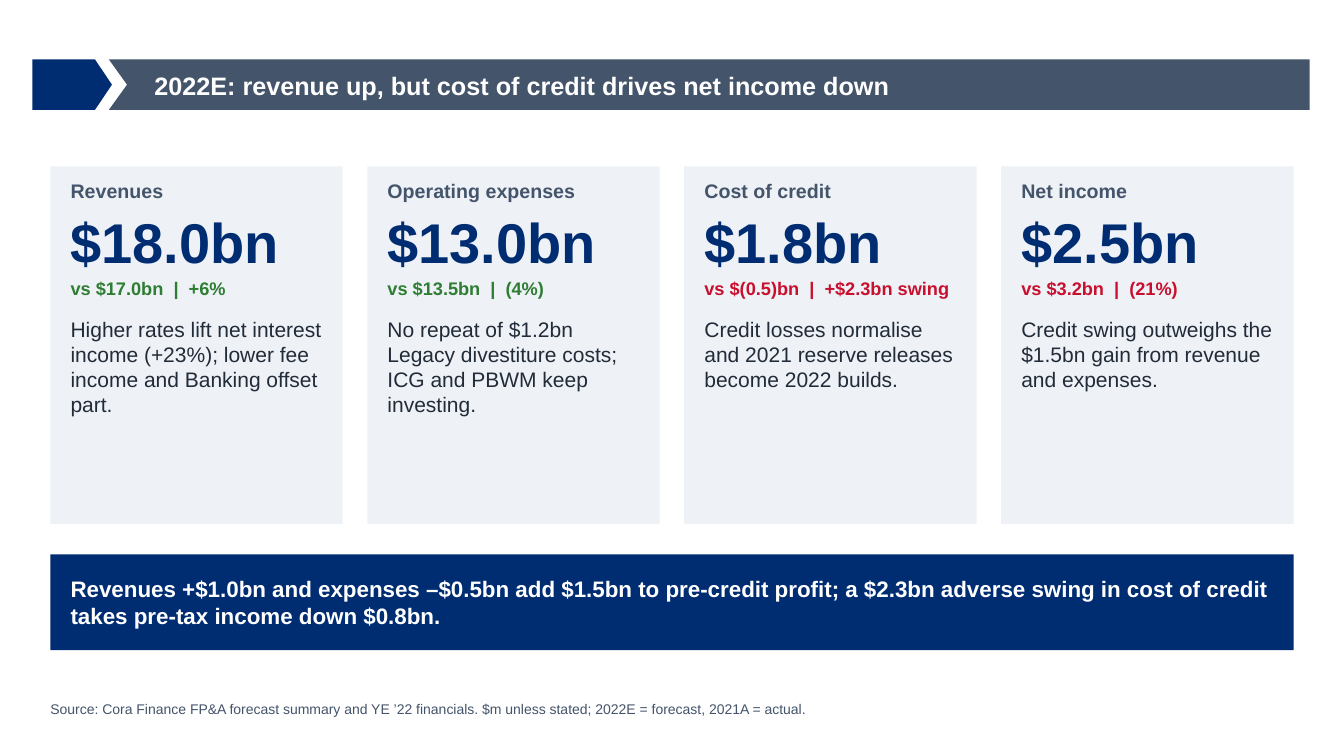
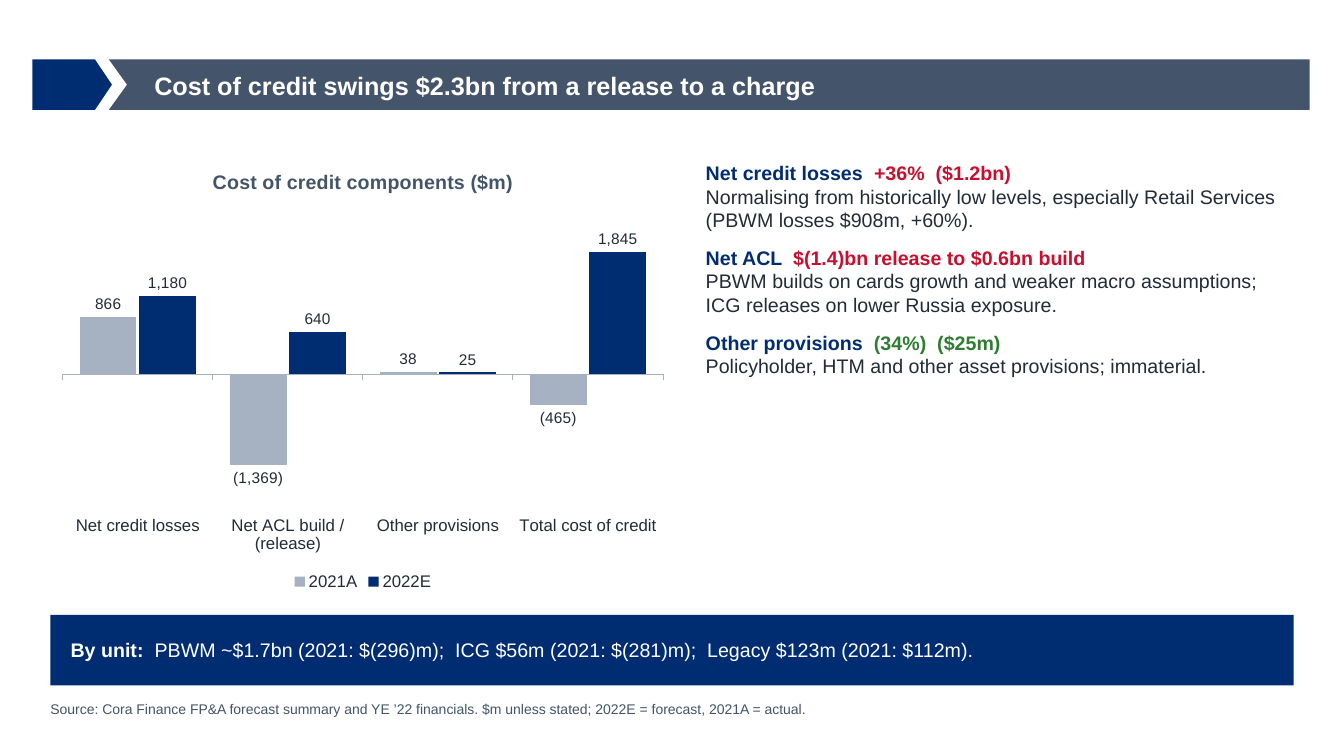
from pptx import Presentation
from pptx.chart.data import CategoryChartData
from pptx.dml.color import RGBColor
from pptx.enum.chart import (XL_CHART_TYPE, XL_LABEL_POSITION, XL_LEGEND_POSITION,
                             XL_TICK_LABEL_POSITION, XL_TICK_MARK)
from pptx.enum.shapes import MSO_SHAPE
from pptx.enum.text import MSO_ANCHOR, PP_ALIGN
from pptx.util import Inches, Pt

COLUMNS = XL_CHART_TYPE.COLUMN_CLUSTERED
OUTSIDE_END = XL_LABEL_POSITION.OUTSIDE_END
LEGEND_BOTTOM = XL_LEGEND_POSITION.BOTTOM
LABELS_LOW = XL_TICK_LABEL_POSITION.LOW
TICK_OUT, TICK_NONE = XL_TICK_MARK.OUTSIDE, XL_TICK_MARK.NONE
RECT, PENTAGON = MSO_SHAPE.RECTANGLE, MSO_SHAPE.PENTAGON
TOP, MIDDLE = MSO_ANCHOR.TOP, MSO_ANCHOR.MIDDLE
LEFT = PP_ALIGN.LEFT

FONT = "Arial"
COLORS = {
    "navy": "002D72", "slate": "44546A", "mist": "EEF2F7", "steel": "A6B1C2",
    "ink": "222B38", "good": "2E7D32", "bad": "C8102E", "white": "FFFFFF",
}
MARGIN, CONTENT_W = 0.5, 12.33
PADDING = (0.2, 0.12)
SOURCE = ("Source: Cora Finance FP&A forecast summary and YE ’22 financials. "
          "$m unless stated; 2022E = forecast, 2021A = actual.")

CARDS = [
    ("Revenues", "$18.0bn", "vs $17.0bn  |  +6%", "good",
     "Higher rates lift net interest income (+23%); lower fee income and Banking offset part."),
    ("Operating expenses", "$13.0bn", "vs $13.5bn  |  (4%)", "good",
     "No repeat of $1.2bn Legacy divestiture costs; ICG and PBWM keep investing."),
    ("Cost of credit", "$1.8bn", "vs $(0.5)bn  |  +$2.3bn swing", "bad",
     "Credit losses normalise and 2021 reserve releases become 2022 builds."),
    ("Net income", "$2.5bn", "vs $3.2bn  |  (21%)", "bad",
     "Credit swing outweighs the $1.5bn gain from revenue and expenses."),
]
COMPONENTS = ["Net credit losses", "Net ACL build / (release)",
              "Other provisions", "Total cost of credit"]
SERIES = [
    ("2021A", (866, -1369, 38, -465), "steel"),
    ("2022E", (1180, 640, 25, 1845), "navy"),
]
DRIVERS = [
    ("Net credit losses  ", "+36%  ($1.2bn)", "bad",
     "Normalising from historically low levels, especially Retail Services "
     "(PBWM losses $908m, +60%)."),
    ("Net ACL  ", "$(1.4)bn release to $0.6bn build", "bad",
     "PBWM builds on cards growth and weaker macro assumptions; "
     "ICG releases on lower Russia exposure."),
    ("Other provisions  ", "(34%)  ($25m)", "good",
     "Policyholder, HTM and other asset provisions; immaterial."),
]


def rgb(name):
    return RGBColor.from_string(COLORS[name])


def style_font(font, size, color, bold=False):
    font.name, font.size, font.bold = FONT, Pt(size), bold
    font.color.rgb = rgb(color)


def add_text(tf, text, size=14, color="ink", bold=False, after=0, same_line=False):
    """Add a paragraph, or with same_line a further run in the last one."""
    p = tf.paragraphs[-1]
    if p.runs and not same_line:
        p = tf.add_paragraph()
    p.alignment = LEFT
    p.space_after = Pt(after)
    r = p.add_run()
    r.text = text
    style_font(r.font, size, color, bold)


def prepare_frame(sp, anchor, padding):
    tf = sp.text_frame
    tf.word_wrap = True
    tf.vertical_anchor = anchor
    tf.margin_left = tf.margin_right = Inches(padding[0])
    tf.margin_top = tf.margin_bottom = Inches(padding[1])
    return tf


def add_textbox(s, left, top, width, height, anchor=TOP):
    sp = s.shapes.add_textbox(Inches(left), Inches(top), Inches(width), Inches(height))
    return prepare_frame(sp, anchor, (0, 0))


def paint(sp, color):
    sp.shadow.inherit = False
    sp.fill.solid()
    sp.fill.fore_color.rgb = rgb(color)
    sp.line.fill.background()


def add_panel(s, left, top, width, height, color, anchor=TOP):
    sp = s.shapes.add_shape(RECT, Inches(left), Inches(top), Inches(width), Inches(height))
    paint(sp, color)
    return prepare_frame(sp, anchor, PADDING)


def add_header(s, title, left=0.32, top=0.59, width=12.67, height=0.5):
    tag = s.shapes.add_shape(PENTAGON, Inches(left), Inches(top), Inches(0.79), Inches(height))
    tag.adjustments[0] = 0.336
    paint(tag, "navy")

    band_left, right, bottom = left + 0.76, left + width, top + height
    outline = [(right, top), (right, bottom), (band_left, bottom),
               (band_left + 0.18, top + height / 2)]
    builder = s.shapes.build_freeform(Inches(band_left), Inches(top))
    builder.add_line_segments([(Inches(x), Inches(y)) for x, y in outline])
    paint(builder.convert_to_shape(), "slate")

    tf = add_textbox(s, left + 1.21, top + 0.02, 10.48, 0.47, MIDDLE)
    add_text(tf, title, size=18, color="white", bold=True)


def add_takeaway(s, top, height):
    return add_panel(s, MARGIN, top, CONTENT_W, height, "navy", MIDDLE)


def new_slide(prs, title):
    """Add a blank slide with the shared header and source line."""
    s = prs.slides.add_slide(prs.slide_layouts[6])
    add_header(s, title)
    add_text(add_textbox(s, MARGIN, 6.95, 12.3, 0.3), SOURCE, size=10, color="slate")
    return s


def add_cards(s, left, top, width, height, card_w=2.9):
    pitch = (width - card_w) / (len(CARDS) - 1)
    for i, (label, amount, change, tone, reason) in enumerate(CARDS):
        tf = add_panel(s, left + i * pitch, top, card_w, height, "mist")
        add_text(tf, label, color="slate", bold=True, after=4)
        add_text(tf, amount, size=40, color="navy", bold=True, after=2)
        add_text(tf, change, size=13, color=tone, bold=True, after=12)
        add_text(tf, reason, size=15)


def add_credit_chart(s, left, top, width, height):
    data = CategoryChartData()
    data.categories = COMPONENTS
    for name, values, _ in SERIES:
        data.add_series(name, values)
    chart = s.shapes.add_chart(COLUMNS, Inches(left), Inches(top), Inches(width),
                               Inches(height), data).chart
    style_font(chart.font, 12, "ink")
    add_text(chart.chart_title.text_frame, "Cost of credit components ($m)",
             color="slate", bold=True)
    chart.has_legend = True
    chart.legend.position = LEGEND_BOTTOM
    chart.legend.include_in_layout = False
    style_font(chart.legend.font, 12, "ink")

    axis = chart.category_axis
    axis.tick_label_position = LABELS_LOW
    axis.major_tick_mark, axis.minor_tick_mark = TICK_OUT, TICK_NONE
    axis.format.line.color.rgb = rgb("steel")
    axis.format.line.width = Pt(0.75)
    style_font(axis.tick_labels.font, 12, "ink")
    chart.value_axis.visible = False
    chart.value_axis.has_major_gridlines = False

    plot = chart.plots[0]
    plot.gap_width, plot.overlap, plot.vary_by_categories = 60, -5, False
    for series, (_, _, color) in zip(plot.series, SERIES):
        series.invert_if_negative = False
        series.format.fill.solid()
        series.format.fill.fore_color.rgb = rgb(color)
        labels = series.data_labels
        labels.show_value = True
        labels.position = OUTSIDE_END
        labels.number_format = "#,##0;(#,##0)"
        labels.number_format_is_linked = False
        style_font(labels.font, 11, "ink")


def add_drivers(s, left, top, width, height):
    tf = add_textbox(s, left, top, width, height)
    for name, change, tone, reason in DRIVERS:
        add_text(tf, name, color="navy", bold=True)
        add_text(tf, change, color=tone, bold=True, same_line=True)
        add_text(tf, reason, after=10)


def build_summary(prs):
    s = new_slide(prs, "2022E: revenue up, but cost of credit drives net income down")
    add_cards(s, MARGIN, 1.65, CONTENT_W, 3.55)
    add_text(add_takeaway(s, 5.5, 0.95),
             "Revenues +$1.0bn and expenses –$0.5bn add $1.5bn to pre-credit profit; "
             "a $2.3bn adverse swing in cost of credit takes pre-tax income down $0.8bn.",
             size=16, color="white", bold=True)


def build_cost_of_credit(prs):
    s = new_slide(prs, "Cost of credit swings $2.3bn from a release to a charge")
    add_credit_chart(s, MARGIN, 1.5, 6.2, 4.4)
    add_drivers(s, 7, 1.6, 5.83, 4.4)
    tf = add_takeaway(s, 6.1, 0.7)
    add_text(tf, "By unit:  ", color="white", bold=True)
    add_text(tf, "PBWM ~$1.7bn (2021: $(296)m);  ICG $56m (2021: $(281)m);  "
             "Legacy $123m (2021: $112m).", color="white", same_line=True)


def main():
    prs = Presentation()
    prs.slide_width, prs.slide_height = Inches(13.33), Inches(7.5)
    build_summary(prs)
    build_cost_of_credit(prs)
    prs.save("out.pptx")


if __name__ == "__main__":
    main()
